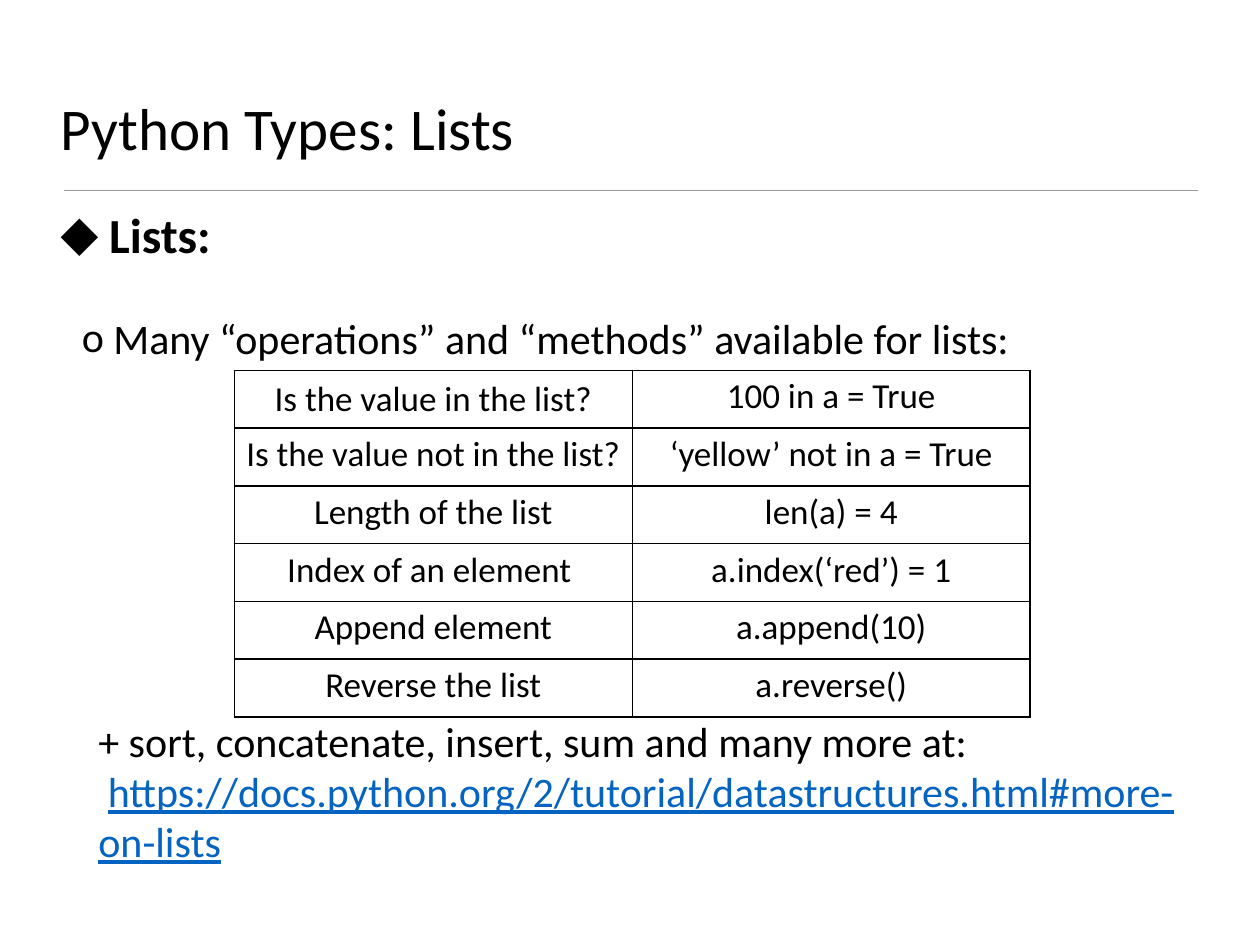
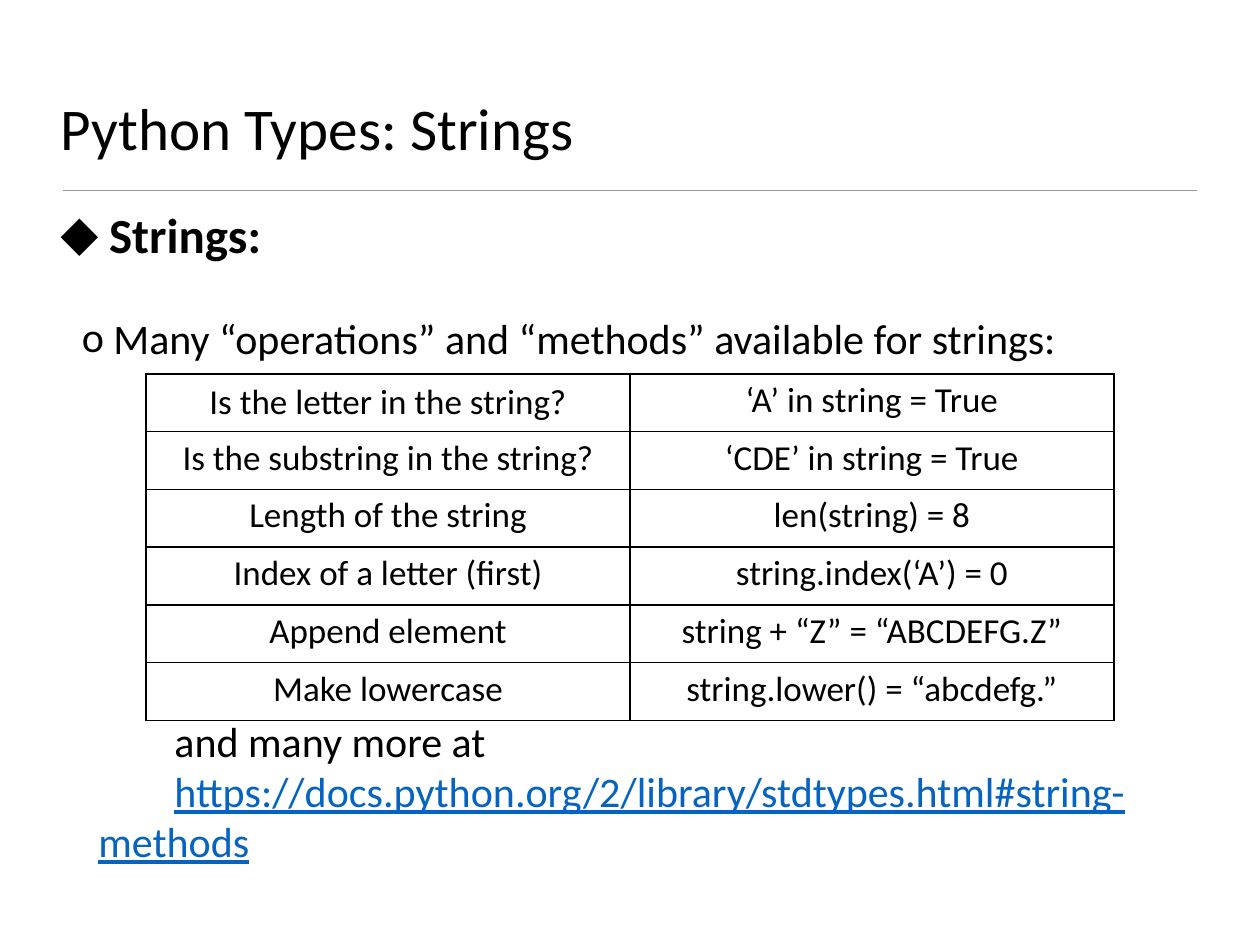
from lxml import etree
from pptx import Presentation
from pptx.dml.color import RGBColor
from pptx.enum import shapes, text
from pptx.oxml import ns
from pptx.util import Pt

BLACK = RGBColor(0x00, 0x00, 0x00)
LINK_BLUE = RGBColor(0x05, 0x63, 0xC1)
RULE_GREY = RGBColor(0x9A, 0x9A, 0x9A)
ROW_HEIGHT = 33
HEADING = {"size": Pt(28), "bold": True}
BODY = {"size": Pt(24)}
LINK = {"size": Pt(24), "underline": True}

LESSONS = [
    {
        "name": "Lists",
        "rule_left": 36.7,
        "table_left": 133.9,
        "table_top": 211.7,
        "column_width": 227.4,
        "rows": [
            ("Is the value in the list?", "100 in a = True"),
            ("Is the value not in the list?", "‘yellow’ not in a = True"),
            ("Length of the list", "len(a) = 4"),
            ("Index of an element ", "a.index(‘red’) = 1"),
            ("Append element", "a.append(10)"),
            ("Reverse the list", "a.reverse()"),
        ],
        "more": "+ sort, concatenate, insert, sum and many more at:",
        "more_indent": 0,
        "link": "https://docs.python.org/2/tutorial/datastructures.html#more-on-lists",
        "link_indent": 5.4,
    },
    {
        "name": "Strings",
        "rule_left": 36,
        "table_left": 83.5,
        "table_top": 213.7,
        "column_width": 276.5,
        "rows": [
            ("Is the letter in the string?", "‘A’ in string = True"),
            ("Is the substring in the string?", "‘CDE’ in string = True"),
            ("Length of the string", "len(string) = 8"),
            ("Index of a letter (first)", "string.index(‘A’) = 0"),
            ("Append element", "string + “Z” = “ABCDEFG.Z”"),
            ("Make lowercase", "string.lower() = “abcdefg.”"),
        ],
        "more": "and many more at",
        "more_indent": 43.5,
        "link": "https://docs.python.org/2/library/stdtypes.html#string-methods",
        "link_indent": 43.5,
    },
]


def add_span(para, words, formats, color=BLACK):
    span = para.add_run()
    span.text = words
    span.font.name = "Calibri"
    span.font.color.rgb = color
    for name, value in formats.items():
        setattr(span.font, name, value)


def add_box(page, top, height, anchor):
    frame = page.shapes.add_textbox(Pt(31.7), Pt(top), Pt(656.6), Pt(height)).text_frame
    frame.word_wrap = True
    frame.vertical_anchor = anchor
    for side in ("left", "right", "top", "bottom"):
        setattr(frame, f"margin_{side}", Pt(2.9))
    return frame


deck = Presentation()
deck.slide_width, deck.slide_height = Pt(720), Pt(540)

for lesson in LESSONS:
    page = deck.slides.add_slide(deck.slide_layouts[6])
    name = lesson["name"]

    body = add_box(page, 113.8, 426.2, text.MSO_ANCHOR.TOP)
    lines = [
        (f" {name}:", HEADING, BLACK, 15.1, -15.1, "◆", 0),
        (f" Many “operations” and “methods” available for {name.lower()}:",
         BODY, BLACK, 21.6, -9.4, "o", 28.5),
        (lesson["more"], BODY, BLACK, 21.6, lesson["more_indent"], None, 201),
        (lesson["link"], LINK, LINK_BLUE, 21.6, lesson["link_indent"], None, 0),
    ]
    for index, (words, formats, color, margin, indent, bullet, gap) in enumerate(lines):
        para = body.add_paragraph() if index else body.paragraphs[0]
        para.space_before = Pt(gap)
        add_span(para, words, formats, color)
        properties = para._p.get_or_add_pPr()
        properties.set("marL", str(Pt(margin)))
        properties.set("indent", str(Pt(indent)))
        if bullet:
            etree.SubElement(properties, ns.qn("a:buFont"), typeface="Calibri")
            etree.SubElement(properties, ns.qn("a:buChar"), char=bullet)

    left = lesson["rule_left"]
    rule = page.shapes.add_connector(
        shapes.MSO_CONNECTOR.STRAIGHT, Pt(left), Pt(108.8), Pt(left + 648), Pt(108.8))
    rule.line.color.rgb = RULE_GREY
    rule.line.width = Pt(1)
    etree.SubElement(rule._element.spPr, ns.qn("a:effectLst"))

    title = add_box(page, 0, 95.8, text.MSO_ANCHOR.BOTTOM)
    add_span(title.paragraphs[0], f"Python Types: {name}", {"size": Pt(33.8)})

    rows = lesson["rows"]
    table = page.shapes.add_table(
        len(rows), 2, Pt(lesson["table_left"]), Pt(lesson["table_top"]),
        Pt(2 * lesson["column_width"]), Pt(ROW_HEIGHT * len(rows))).table
    table.first_row = table.horz_banding = False
    for row_index, row in enumerate(rows):
        for column_index, words in enumerate(row):
            cell = table.cell(row_index, column_index)
            first = row_index == column_index == 0
            cell.vertical_anchor = text.MSO_ANCHOR.MIDDLE if first else text.MSO_ANCHOR.TOP
            cell.margin_left = cell.margin_right = Pt(5)
            cell.margin_top = cell.margin_bottom = Pt(2.9)
            para = cell.text_frame.paragraphs[0]
            para.alignment = text.PP_ALIGN.CENTER
            add_span(para, words, {"size": Pt(20)})
            for edge in ("lnL", "lnR", "lnT", "lnB"):
                border = etree.SubElement(
                    cell._tc.get_or_add_tcPr(), ns.qn(f"a:{edge}"), w=str(Pt(1)))
                paint = etree.SubElement(border, ns.qn("a:solidFill"))
                etree.SubElement(paint, ns.qn("a:srgbClr"), val=str(BLACK))
            cell.fill.background()

deck.save("out.pptx")
